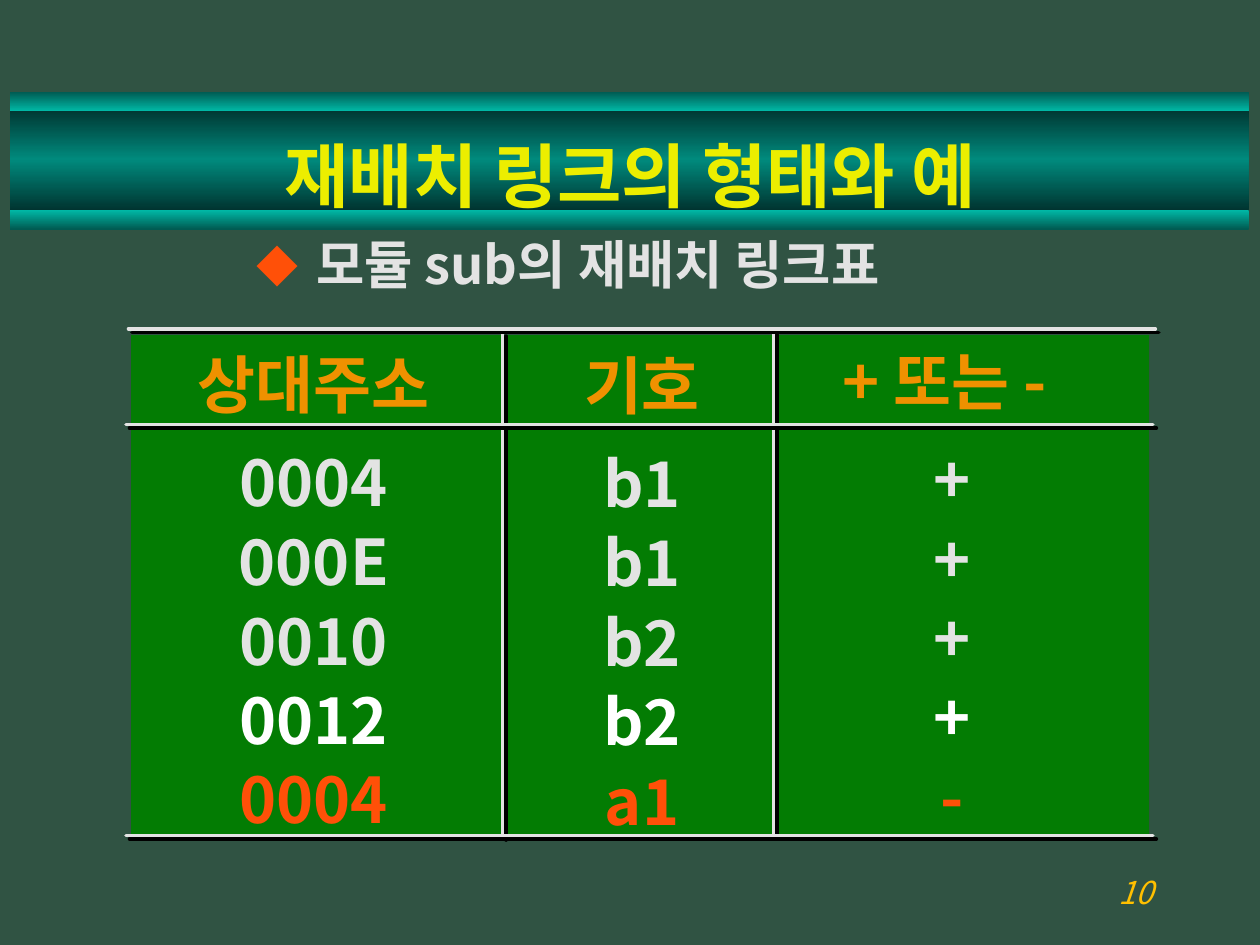
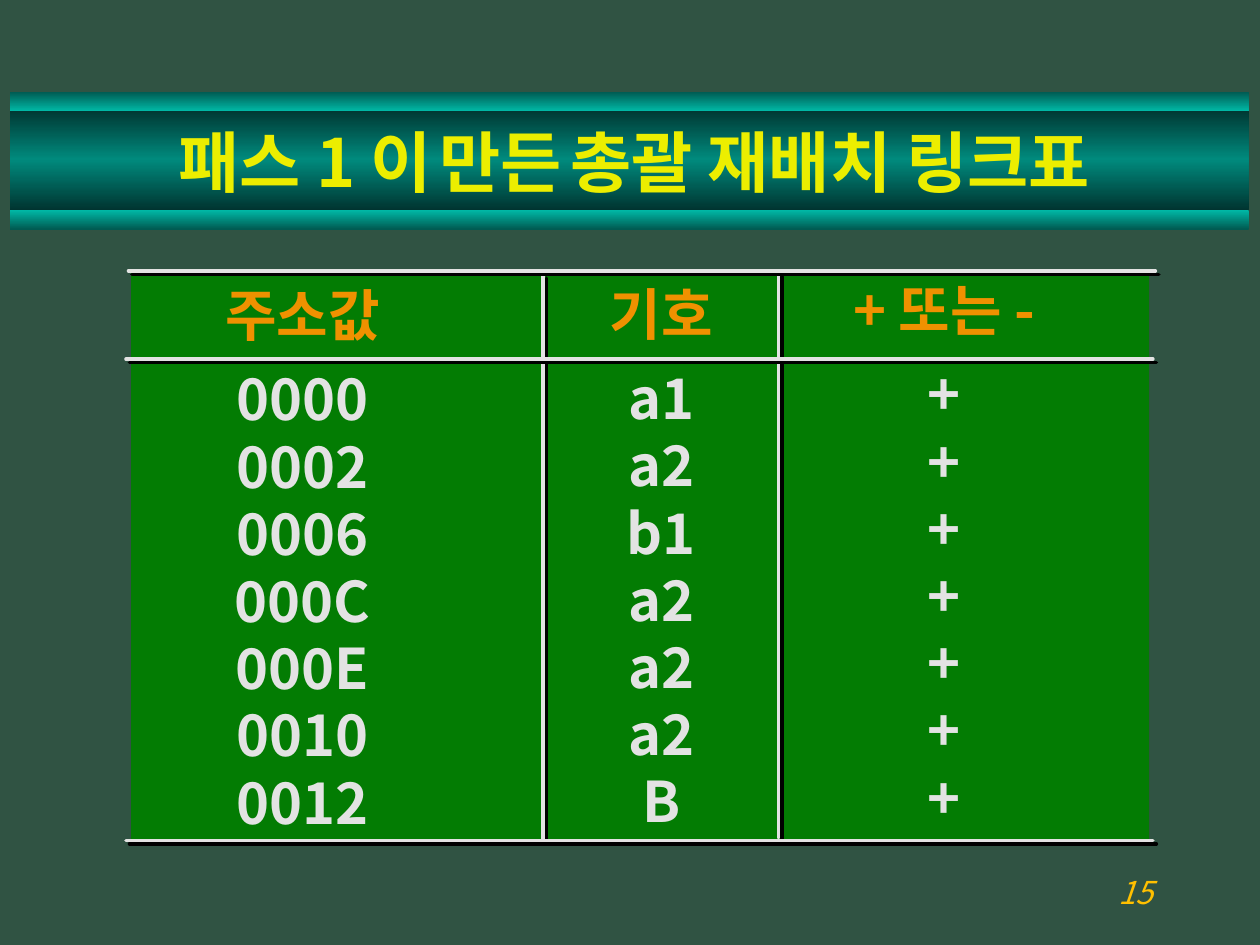
"""Builds two slides that show relocation link tables."""
from dataclasses import dataclass

from lxml import etree
from pptx import Presentation
from pptx.dml.color import RGBColor
from pptx.enum.shapes import MSO_CONNECTOR, MSO_SHAPE
from pptx.enum.text import MSO_ANCHOR, PP_ALIGN
from pptx.oxml.ns import qn
from pptx.util import Inches, Pt

RECT = MSO_SHAPE.RECTANGLE
LINE = MSO_CONNECTOR.STRAIGHT
LEFT, MID, RIGHT = PP_ALIGN.LEFT, PP_ALIGN.CENTER, PP_ALIGN.RIGHT
TOP, CENTER = MSO_ANCHOR.TOP, MSO_ANCHOR.MIDDLE


@dataclass(frozen=True)
class Theme:
    font: str = "Noto Sans CJK KR"
    back: str = "305343"
    panel: str = "037C03"
    title: str = "ECEE00"
    head: str = "EF9100"
    text: str = "E3E3E3"
    white: str = "FFFFFF"
    alert: str = "FF5008"
    number: str = "FFC000"
    shadow: str = "000000"
    dark: str = "00322E"
    teal: str = "008A7D"
    deep: str = "005B52"
    bright: str = "00B7A5"
    lead_size: int = 30
    page_size: int = 18
    gap_size: int = 20
    rule: int = 2


theme = Theme()


def shade(props, reach):
    effects = etree.SubElement(props, qn("a:effectLst"))
    outer = etree.SubElement(effects, qn("a:outerShdw"), blurRad="0",
                             dist=str(Pt(reach)), dir="2700000", algn="tl")
    etree.SubElement(outer, qn("a:srgbClr"), val=theme.shadow)


def write(slide, area, lines, size, tints, align=MID, anchor=TOP, plain=False):
    frame = slide.shapes.add_textbox(*map(Inches, area)).text_frame
    frame.word_wrap = True
    frame.vertical_anchor = anchor
    frame.text = "\n".join(lines)
    for para, line, tint in zip(frame.paragraphs, lines, tints):
        para.alignment = align
        para.text = ""
        for part in line.split("|"):
            run = para.add_run()
            run.text = part
            font = run.font
            font.size = Pt(size if part.strip() else theme.gap_size)
            font.bold = not plain
            font.italic = plain
            font.color.rgb = RGBColor.from_string(tint)
            props = run.font._element if hasattr(run.font, "_element") else run._r.get_or_add_rPr()
            if not plain:
                shade(props, 3)
            font.name = theme.font
            etree.SubElement(props, qn("a:ea"), typeface=theme.font)
    return frame.paragraphs


bands = [
    (0.85, 0.83, [(0, theme.dark), (50, theme.teal), (100, theme.dark)]),
    (1.67, 0.15, [(0, theme.bright), (100, theme.deep)]),
    (0.73, 0.15, [(0, theme.deep), (100, theme.bright)]),
]

pages = [
    {
        "title": "재배치 링크의 형태와 예", "area": (0.75, 0.98, 8.5, 0.81),
        "title_size": 40, "page": "10", "lead": "모듈 sub의 재배치 링크표",
        "panel": (2.66, 3.97), "rows": (2.61, 3.37, 6.63),
        "splits": [(6.14, 2.63, 6.63), (3.99, 2.64, 6.64)],
        "size": 36, "pitch": 1.05,
        "tints": [theme.head] + [theme.text] * 3 + [theme.white, theme.alert],
        "cols": [
            ((6.26, 2.64, 2.59, 4.04), ["+ 또는 - ", *"++++-"]),
            ((1.28, 2.66, 2.42, 3.4),
             ["상대주소", "0004", "000E", "0010", "0012", "0004"]),
            ((4.34, 2.67, 1.51, 3.4), ["기호", "b1", "b1", "b2", "b2", "a1"]),
        ],
    },
    {
        "title": "패스 1 이| |만든| |총괄 재배치 링크표", "area": (0.58, 0.87, 8.91, 0.81),
        "title_size": 38, "page": "15", "lead": None,
        "panel": (2.14, 4.55), "rows": (2.15, 2.85, 6.67),
        "splits": [(6.18, 2.17, 6.65), (4.31, 2.18, 6.66)],
        "size": 32, "pitch": 1.0,
        "tints": [theme.head] + [theme.text] * 7,
        "cols": [
            ((6.2, 2.14, 2.59, 4.04), ["+ 또는 -", *"+++++++"]),
            ((4.04, 2.17, 2.42, 3.4),
             ["기호", "a1", "a2", "b1", "a2", "a2", "a2", "B"]),
            ((0.71, 2.18, 3.38, 3.4),
             ["주소값", "0000", "0002", "0006", "000C", "000E", "0010", "0012"]),
        ],
    },
]

deck = Presentation()
deck.slide_width, deck.slide_height = Inches(10), Inches(7.5)

for page in pages:
    slide = deck.slides.add_slide(deck.slide_layouts[6])
    slide.background.fill.solid()
    slide.background.fill.fore_color.rgb = RGBColor.from_string(theme.back)

    for top, height, stops in bands:
        band = slide.shapes.add_shape(
            RECT, Inches(0.08), Inches(top), Inches(9.83), Inches(height))
        band.shadow.inherit = False
        band.line.fill.background()
        band.fill.gradient()
        band.fill.gradient_angle = 270
        ramp = band._element.spPr.find(".//" + qn("a:gsLst"))
        for old in list(ramp):
            ramp.remove(old)
        for place, tint in stops:
            stop = etree.SubElement(ramp, qn("a:gs"), pos=str(place * 1000))
            etree.SubElement(stop, qn("a:srgbClr"), val=tint)

    write(slide, (7.17, 6.83, 2.08, 0.5), [page["page"]], theme.page_size,
          [theme.number], RIGHT, CENTER, plain=True)

    top, height = page["panel"]
    panel = slide.shapes.add_shape(
        RECT, Inches(1.04), Inches(top), Inches(8.08), Inches(height))
    panel.shadow.inherit = False
    panel.line.fill.background()
    panel.fill.solid()
    panel.fill.fore_color.rgb = RGBColor.from_string(theme.panel)

    write(slide, page["area"], [page["title"]], page["title_size"],
          [theme.title], anchor=CENTER)

    if page["lead"]:
        lead = write(slide, (1.94, 1.85, 7.31, 0.61), [page["lead"]],
                     theme.lead_size, [theme.text], LEFT)[0]
        lead.line_spacing = 0.9
        lead.space_before = Pt(0.2 * theme.lead_size)
        props = lead._p.get_or_add_pPr()
        props.set("marL", str(Inches(0.47)))
        props.set("indent", str(-Inches(0.47)))
        tint = etree.SubElement(props, qn("a:buClr"))
        etree.SubElement(tint, qn("a:srgbClr"), val=theme.alert)
        etree.SubElement(props, qn("a:buSzPct"), val="80000")
        etree.SubElement(props, qn("a:buFont"), typeface=theme.font)
        etree.SubElement(props, qn("a:buChar"), char="◆")

    rules = [(x, start, x, end) for x, start, end in page["splits"]]
    for y, left in zip(page["rows"], (1.02, 1, 1)):
        rules.append((left, y, left + 8.15, y))
    for ends in rules:
        rule = slide.shapes.add_connector(LINE, *map(Inches, ends))
        rule.line.width = Pt(theme.rule)
        rule.line.color.rgb = RGBColor.from_string(theme.text)
        rule.line._get_or_add_ln().set("cap", "rnd")
        shade(rule._element.spPr, 2.8)

    for area, lines in page["cols"]:
        paras = write(slide, area, lines, page["size"], page["tints"])
        for para in paras:
            para.line_spacing = page["pitch"]
        paras[0].space_after = Pt(0.3 * page["size"])

deck.save("out.pptx")
